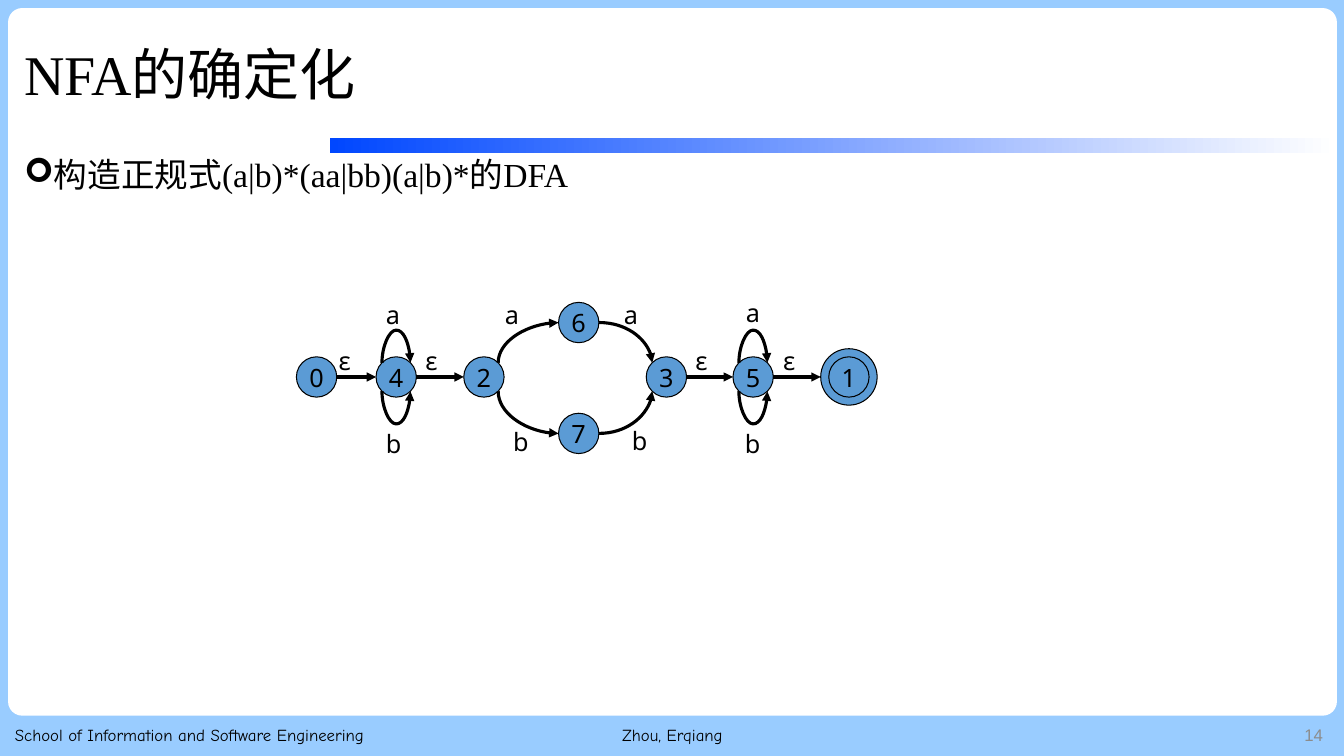
import math
from dataclasses import dataclass

from lxml import etree
from pptx import Presentation
from pptx import util as u
from pptx.dml.color import RGBColor
from pptx.enum import shapes, text
from pptx.oxml import ns

Inches = u.Inches
Kind = shapes.MSO_SHAPE


@dataclass(frozen=True)
class Theme:
    frame: str = "99CCFF"
    paper: str = "FFFFFF"
    accent: str = "0047FF"
    node: str = "5B9BD5"
    ink: str = "000000"
    muted: str = "8C8C8C"
    serif: str = "Times New Roman"
    chinese: str = "Noto Sans CJK SC"
    diagram: str = "Noto Sans"
    footer: str = "Comic Neue"
    number: str = "Arial"
    title_size: int = 40
    body_size: int = 24
    diagram_size: int = 18
    footer_size: int = 12


THEME = Theme()
RADIUS = 0.2
RING = 0.28
ROW = 1.54
TOP_LEFT, LEFT, BOTTOM_LEFT, BOTTOM_RIGHT, RIGHT, TOP_RIGHT = 1, 2, 3, 5, 6, 7
STATES = {
    "0": (0.20, ROW), "4": (0.99, ROW), "2": (1.86, ROW),
    "6": (2.80, 1.0), "7": (2.80, 2.1),
    "3": (3.67, ROW), "5": (4.53, ROW), "1": (5.48, ROW),
}
STRAIGHT = [("0", "4"), ("4", "2"), ("3", "5"), ("5", "1")]
BRANCHES = [
    ("2", TOP_RIGHT, "6", LEFT, 270), ("6", RIGHT, "3", TOP_LEFT, 0),
    ("2", BOTTOM_RIGHT, "7", LEFT, 90), ("7", RIGHT, "3", BOTTOM_LEFT, 0),
]
LOOPS = [(TOP_LEFT, TOP_RIGHT, 270), (BOTTOM_LEFT, BOTTOM_RIGHT, 90)]
LABELS = [
    ("ε", 0.32, 1.18), ("ε", 1.18, 1.18), ("ε", 3.86, 1.18), ("ε", 4.73, 1.18),
    ("a", 0.79, 0.72), ("a", 1.97, 0.72), ("a", 3.15, 0.72), ("a", 4.36, 0.70),
    ("b", 0.79, 2.00), ("b", 2.05, 1.98), ("b", 3.23, 1.97), ("b", 4.35, 2.00),
]


def rgb(value):
    return RGBColor.from_string(value)


def write(shape, content, *, size, font, color=THEME.ink, align=text.PP_ALIGN.LEFT,
          anchor=text.MSO_ANCHOR.TOP, wrap=True, inset=None, line_spacing=None):
    frame = shape.text_frame
    frame.word_wrap = wrap
    frame.vertical_anchor = anchor
    if inset is not None:
        frame.margin_left = frame.margin_right = Inches(inset)
        frame.margin_top = frame.margin_bottom = Inches(inset)
    paragraph = frame.paragraphs[0]
    paragraph.alignment = align
    paragraph.line_spacing = line_spacing
    runs = [(content, font)] if isinstance(content, str) else content
    for words, typeface in runs:
        run = paragraph.add_run()
        run.text = words
        run.font.size = u.Pt(size)
        run.font.name = typeface
        run.font.color.rgb = rgb(color)
        east_asian = etree.SubElement(run.font._element, ns.qn("a:ea"))
        east_asian.set("typeface", THEME.chinese)
    return paragraph


def add_text(slide, box, content, **style):
    shape = slide.shapes.add_textbox(*map(Inches, box))
    return write(shape, content, **style)


def add_panel(slide, kind, box, fill=None, line=None):
    shape = slide.shapes.add_shape(kind, *map(Inches, box))
    shape.shadow.inherit = False
    if fill:
        shape.fill.solid()
        shape.fill.fore_color.rgb = rgb(fill)
    if line:
        shape.line.color.rgb = rgb(line)
        shape.line.width = u.Pt(0.75)
    else:
        shape.line.fill.background()
    return shape


def add_backdrop(slide, box):
    left, top, width, height = box
    slide.background.fill.solid()
    slide.background.fill.fore_color.rgb = rgb(THEME.frame)
    paper = add_panel(slide, Kind.ROUNDED_RECTANGLE, box, THEME.paper)
    paper.adjustments[0] = 0.02
    stripe = add_panel(slide, Kind.RECTANGLE, (left + 3.19, top + 1.29, width - 3.19, 0.15))
    stripe.fill.gradient()
    stripe.fill.gradient_angle = 0
    for stop, color in zip(stripe.fill.gradient_stops, (THEME.accent, THEME.paper)):
        stop.color.rgb = rgb(color)


def add_heading(slide, box):
    add_text(slide, box, "NFA的确定化", size=THEME.title_size, font=THEME.serif,
             anchor=text.MSO_ANCHOR.MIDDLE, line_spacing=0.9)


def add_body(slide, box):
    runs = [("构造正规式", THEME.chinese), ("(a|b)*(aa|bb)(a|b)*", THEME.serif),
            ("的", THEME.chinese), ("DFA", THEME.serif)]
    paragraph = add_text(slide, box, runs, size=THEME.body_size, font=THEME.serif,
                         line_spacing=0.9)
    paragraph.space_before = u.Pt(10)
    properties = paragraph._p.get_or_add_pPr()
    properties.set("marL", str(Inches(0.25)))
    properties.set("indent", str(-Inches(0.25)))
    etree.SubElement(properties, ns.qn("a:buFont")).set("typeface", "Wingdings")
    etree.SubElement(properties, ns.qn("a:buChar")).set("char", "➢")


def add_footer(slide, box):
    left, top, width, height = box
    align = text.PP_ALIGN
    parts = [
        (0, 4.32, "School of Information and Software Engineering", align.LEFT,
         THEME.footer, THEME.ink),
        (4.37, 4.5, "Zhou, Erqiang", align.CENTER, THEME.footer, THEME.ink),
        (width - 3, 3, "14", align.RIGHT, THEME.number, THEME.muted),
    ]
    for offset, part_width, words, side, font, color in parts:
        add_text(slide, (left + offset, top, part_width, height), words,
                 size=THEME.footer_size, font=font, color=color, align=side,
                 anchor=text.MSO_ANCHOR.MIDDLE)


def add_circle(slide, center, radius):
    x, y = center
    box = (x - radius, y - radius, 2 * radius, 2 * radius)
    return add_panel(slide, Kind.OVAL, box, THEME.node, THEME.ink)


def site_point(node, site):
    angle = math.radians(90 + 45 * site)
    radius = node.width / 2
    return (node.left + radius + radius * math.cos(angle),
            node.top + radius - radius * math.sin(angle))


def add_arrow(slide, source, source_site, target, target_site, *, turn=0,
              preset="line", adjust=None, depth=None):
    x1, y1 = site_point(source, source_site)
    x2, y2 = site_point(target, target_site)
    width, height = abs(x2 - x1), abs(y2 - y1)
    if turn:
        width, height = depth or height, width
    left, top = (x1 + x2 - width) / 2, (y1 + y2 - height) / 2
    start, finish = top, top + height
    if turn == 90 or (turn == 0 and y2 < y1):
        start, finish = finish, start
    connector = slide.shapes.add_connector(
        shapes.MSO_CONNECTOR.STRAIGHT,
        *(round(value) for value in (left, start, left + width, finish)))
    connector.line.color.rgb = rgb(THEME.ink)
    connector.line.width = u.Pt(2.25)
    etree.SubElement(connector.line._get_or_add_ln(), ns.qn("a:tailEnd")).set("type", "triangle")
    properties = connector.element.spPr
    etree.SubElement(properties, ns.qn("a:effectLst"))
    if turn:
        properties.find(ns.qn("a:xfrm")).set("rot", str(turn * 60000))
    geometry = properties.find(ns.qn("a:prstGeom"))
    geometry.set("prst", preset)
    if adjust:
        guide = etree.SubElement(geometry.find(ns.qn("a:avLst")), ns.qn("a:gd"))
        guide.set("name", "adj1")
        guide.set("fmla", f"val {adjust * 100000}")
    links = connector.element.find(".//" + ns.qn("p:cNvCxnSpPr"))
    for tag, node, site in (("a:stCxn", source, source_site), ("a:endCxn", target, target_site)):
        link = etree.SubElement(links, ns.qn(tag))
        link.set("id", str(node.shape_id))
        link.set("idx", str(site))


def add_automaton(slide, box):
    left, top = box[:2]
    centers = {name: (left + x, top + y) for name, (x, y) in STATES.items()}
    ring = add_circle(slide, centers["1"], RING)
    nodes = {name: add_circle(slide, center, RADIUS) for name, center in centers.items()}
    for name, node in nodes.items():
        write(node, name, size=THEME.diagram_size, font=THEME.diagram, wrap=False, inset=0,
              align=text.PP_ALIGN.CENTER, anchor=text.MSO_ANCHOR.MIDDLE)
    nodes["1"] = ring
    for source, target in STRAIGHT:
        add_arrow(slide, nodes[source], RIGHT, nodes[target], LEFT)
    for source, leave, target, enter, turn in BRANCHES:
        add_arrow(slide, nodes[source], leave, nodes[target], enter, turn=turn,
                  preset="curvedConnector2")
    for name in ("4", "5"):
        for leave, enter, turn in LOOPS:
            add_arrow(slide, nodes[name], leave, nodes[name], enter, turn=turn,
                      preset="curvedConnector3", adjust=92, depth=Inches(0.32) / 92)
    for words, x, y in LABELS:
        add_text(slide, (left + x, top + y, 0.4, 0.4), words,
                 size=THEME.diagram_size, font=THEME.diagram)


def main():
    presentation = Presentation()
    presentation.slide_width, presentation.slide_height = Inches(13.33), Inches(7.5)
    slide = presentation.slides.add_slide(presentation.slide_layouts[6])
    add_backdrop(slide, (0.08, 0.08, 13.18, 7.02))
    add_heading(slide, (0.14, 0.15, 12.57, 1.24))
    add_body(slide, (0.14, 1.52, 13.12, 5.57))
    add_footer(slide, (0.05, 7.09, 13.17, 0.4))
    add_automaton(slide, (2.94, 2.2, 5.76, 2.4))
    presentation.save("out.pptx")


if __name__ == "__main__":
    main()
